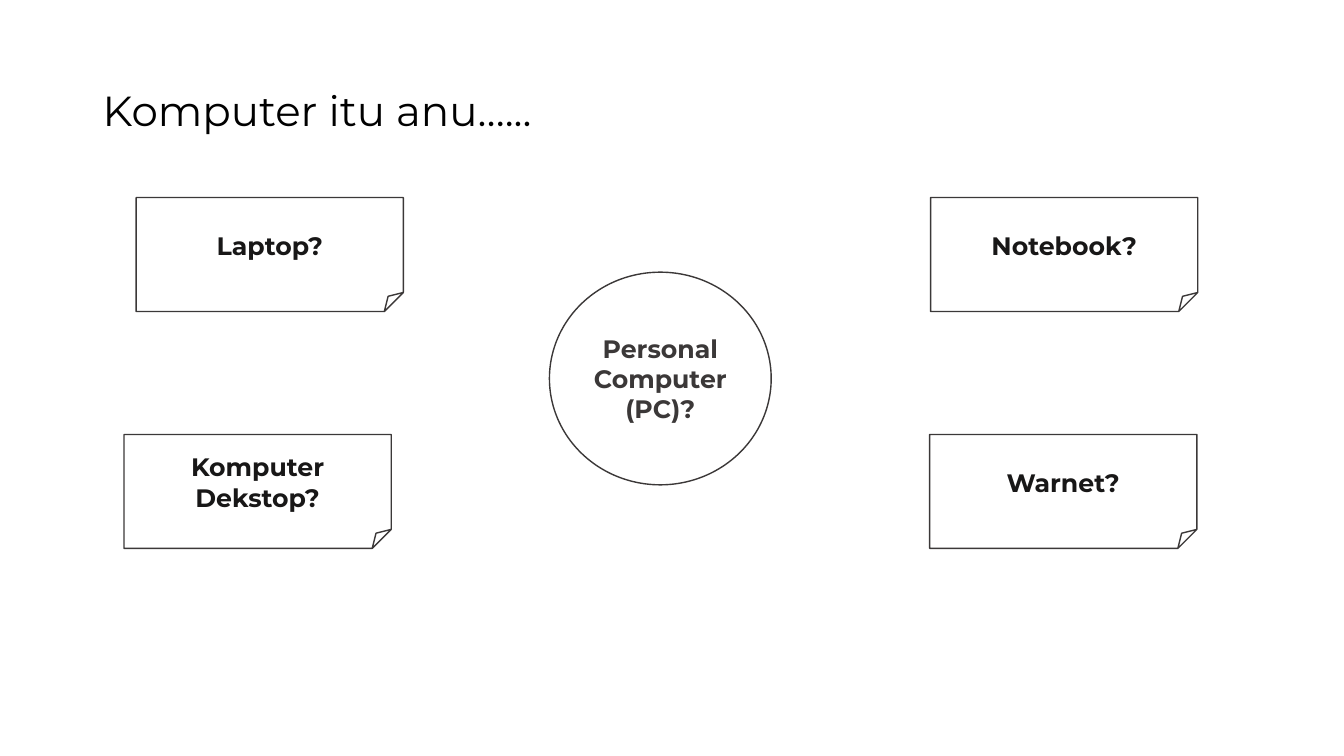
from dataclasses import dataclass

from pptx import Presentation
from pptx.dml.color import RGBColor
from pptx.enum.shapes import MSO_SHAPE
from pptx.enum.text import MSO_ANCHOR, PP_ALIGN
from pptx.util import Inches, Pt


@dataclass(frozen=True)
class Theme:
    font: str = "Montserrat"
    title_size: int = 30
    label_size: int = 18
    title_color: str = "000000"
    note_color: str = "181717"
    outline: str = "3B3838"
    line_width: int = 1


class SlideBuilder:
    def __init__(self, prs, theme):
        self.prs = prs
        self.theme = theme
        self.slide = prs.slides.add_slide(prs.slide_layouts[6])

    def box(self, left, top, width, height):
        """Turn percentages of the slide's size into lengths."""
        w, h = self.prs.slide_width, self.prs.slide_height
        return [int(share * side / 100) for share, side in
                ((left, w), (top, h), (width, w), (height, h))]

    def add_text(self, s, text, size, color, bold=False, align=PP_ALIGN.LEFT, spacing=1.0):
        tf = s.text_frame
        tf.word_wrap = True
        tf.vertical_anchor = MSO_ANCHOR.MIDDLE
        p = tf.paragraphs[0]
        p.alignment = align
        p.line_spacing = spacing
        r = p.add_run()
        r.text = text
        for name, value in {"name": self.theme.font, "size": Pt(size), "bold": bold}.items():
            setattr(r.font, name, value)
        r.font.color.rgb = RGBColor.from_string(color)

    def title(self, text, *area):
        s = self.slide.shapes.add_textbox(*self.box(*area))
        self.add_text(s, text, self.theme.title_size, self.theme.title_color, spacing=0.9)

    def outlined(self, kind, text, color, *area):
        s = self.slide.shapes.add_shape(kind, *self.box(*area))
        s.shadow.inherit = False
        s.fill.background()
        s.line.color.rgb = RGBColor.from_string(self.theme.outline)
        s.line.width = Pt(self.theme.line_width)
        self.add_text(s, text, self.theme.label_size, color, bold=True, align=PP_ALIGN.CENTER)

    def circle(self, text, *area):
        self.outlined(MSO_SHAPE.OVAL, text, self.theme.outline, *area)

    def note(self, text, left, top):
        self.outlined(MSO_SHAPE.FOLDED_CORNER, text, self.theme.note_color,
                      left, top, 19.88, 15.07)


def main():
    prs = Presentation()
    prs.slide_width, prs.slide_height = Inches(13.33), Inches(7.5)
    builder = SlideBuilder(prs, Theme())
    builder.title("Komputer itu anu…...", 6.9, 5.33, 86.27, 19.33)
    builder.circle("Personal Computer (PC)?", 40.88, 36, 16.5, 28.13)

    upper, lower = 26.13, 57.47
    for text, left, top in (
        ("Laptop?", 10.13, upper),
        ("Notebook?", 69.24, upper),
        ("Komputer Dekstop?", 9.23, lower),
        ("Warnet?", 69.17, lower),
    ):
        builder.note(text, left, top)
    prs.save("out.pptx")


if __name__ == "__main__":
    main()
